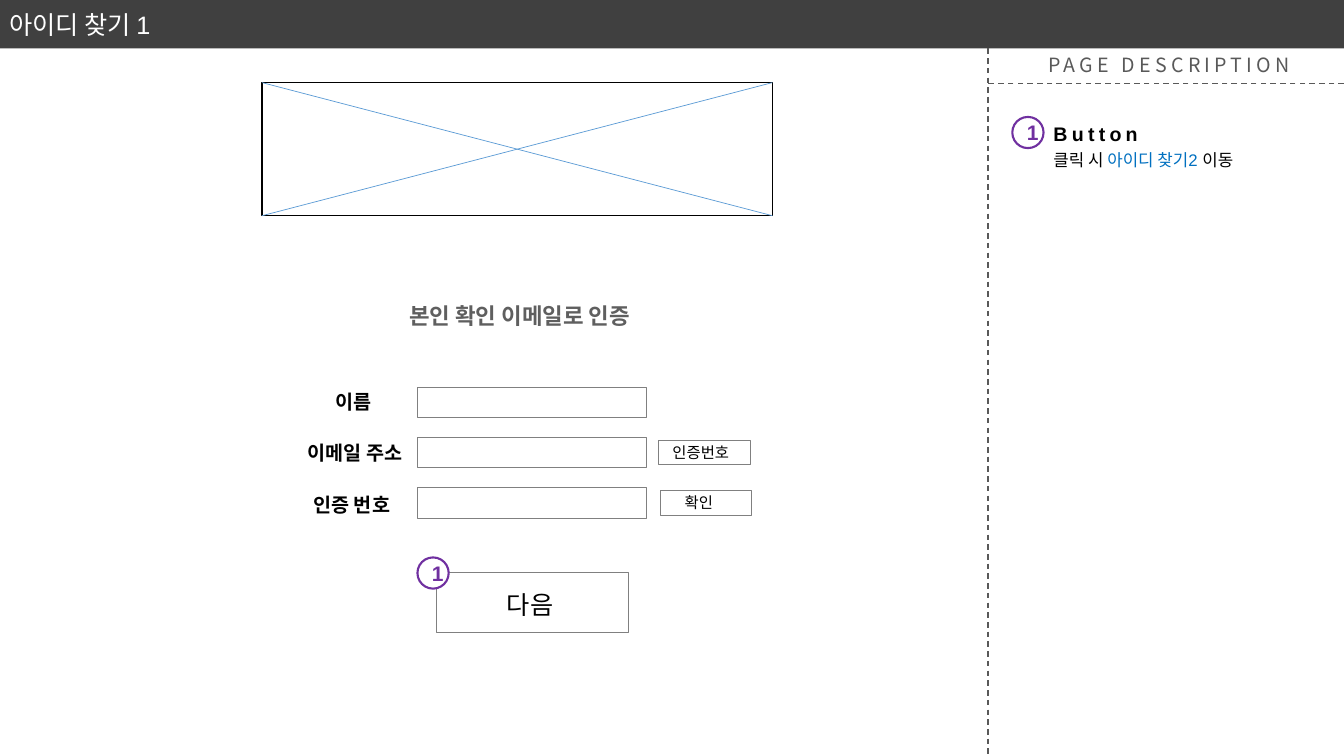
from dataclasses import dataclass

import lxml.etree
import pptx
import pptx.dml.color
import pptx.enum.dml
import pptx.enum.shapes
import pptx.enum.text
import pptx.oxml.ns
import pptx.util

Inches = pptx.util.Inches
Shapes = pptx.enum.shapes.MSO_SHAPE
Anchor = pptx.enum.text.MSO_ANCHOR
Align = pptx.enum.text.PP_ALIGN
qn = pptx.oxml.ns.qn

HANGUL = "Noto Sans CJK KR"
BLACK, GREY, DARK_GREY, PURPLE = "000000", "808080", "595959", "7030A0"


@dataclass
class Style:
    size: float
    font: str = HANGUL
    color: str = BLACK
    bold: bool = False
    spacing: int = 0


@dataclass
class Box:
    left: float
    top: float
    width: float
    height: float
    color: str = GREY
    weight: float = 0.5


@dataclass
class Label:
    text: str
    left: float
    top: float
    width: float
    height: float
    style: Style
    indent: float = 0.1


@dataclass
class Line:
    start: tuple[float, float]
    end: tuple[float, float]
    color: str
    weight: float
    dashed: bool = False


FIELD_LABEL = Style(14, bold=True)
BUTTON_LABEL = Style(11)
NOTE = Style(12, "Arial")
LINK = Style(12, "Arial", "0070C0")

IMAGE_AREA = Box(2.6, 0.82, 5.06, 1.32, BLACK, 1)
FIELDS = [Box(4.14, 3.84 + 0.5 * row, 2.27, 0.3) for row in range(3)]
BUTTONS = [Box(6.53, 4.37, 0.91, 0.24), Box(6.55, 4.86, 0.9, 0.25), Box(4.33, 5.68, 1.9, 0.59)]
LINES = [
    Line((9.8, 0.48), (9.8, 7.5), DARK_GREY, 1, True),
    Line((13.33, 0.83), (9.8, 0.83), DARK_GREY, 1, True),
    Line((2.6, 0.82), (7.66, 2.14), "5B9BD5", 0.5),
    Line((2.6, 2.14), (7.66, 0.82), "5B9BD5", 0.5),
]
LABELS = [
    Label("PAGE DESCRIPTION", 10.3, 0.48, 2.73, 0.34, Style(14, color=DARK_GREY, spacing=3)),
    Label("본인 확인 이메일로 인증", 3.98, 2.95, 3.54, 0.37, Style(16, "Karla", "5F5F5F", True), 0.08),
    Label("이름", 3.23, 3.82, 1.51, 0.34, FIELD_LABEL),
    Label("이메일 주소", 2.95, 4.33, 1.51, 0.34, FIELD_LABEL),
    Label("인증 번호", 3.01, 4.84, 1.51, 0.34, FIELD_LABEL),
    Label("인증번호", 6.57, 4.35, 0.82, 0.29, BUTTON_LABEL),
    Label("확인", 6.59, 4.84, 0.81, 0.29, BUTTON_LABEL, 0.2),
    Label("다음", 4.93, 5.8, 2.52, 0.4, Style(18)),
    Label("Button", 10.35, 1.16, 1.09, 0.34, Style(14, "Arial", bold=True, spacing=3)),
]
MARKERS = [(10.04, 1.16), (4.14, 5.53)]


def rgb(color: str) -> pptx.dml.color.RGBColor:
    return pptx.dml.color.RGBColor.from_string(color)


def add_run(paragraph, text: str, style: Style) -> None:
    run = paragraph.add_run()
    run.text = text
    run.font.size = pptx.util.Pt(style.size)
    run.font.name = style.font
    run.font.bold = style.bold
    run.font.color.rgb = rgb(style.color)
    properties = run.font._element
    lxml.etree.SubElement(properties, qn("a:ea")).set("typeface", HANGUL)
    if style.spacing:
        properties.set("spc", str(style.spacing * 100))


def add_box(slide, box: Box, kind=Shapes.RECTANGLE, fill: str | None = None):
    shape = slide.shapes.add_shape(
        kind, Inches(box.left), Inches(box.top), Inches(box.width), Inches(box.height))
    shape.shadow.inherit = False
    if fill:
        shape.fill.solid()
        shape.fill.fore_color.rgb = rgb(fill)
    else:
        shape.fill.background()
    shape.line.color.rgb = rgb(box.color)
    shape.line.width = pptx.util.Pt(box.weight)
    return shape


def add_text_box(slide, left: float, top: float, width: float, height: float, indent: float = 0.1):
    shape = slide.shapes.add_textbox(Inches(left), Inches(top), Inches(width), Inches(height))
    shape.text_frame.word_wrap = True
    shape.text_frame.margin_left = Inches(indent)
    return shape.text_frame.paragraphs[0]


def add_label(slide, label: Label) -> None:
    paragraph = add_text_box(
        slide, label.left, label.top, label.width, label.height, label.indent)
    add_run(paragraph, label.text, label.style)


def add_line(slide, line: Line) -> None:
    connector = slide.shapes.add_connector(
        pptx.enum.shapes.MSO_CONNECTOR.STRAIGHT, *map(Inches, line.start + line.end))
    connector.line.color.rgb = rgb(line.color)
    connector.line.width = pptx.util.Pt(line.weight)
    if line.dashed:
        connector.line.dash_style = pptx.enum.dml.MSO_LINE.DASH
    lxml.etree.SubElement(connector._element.spPr, qn("a:effectLst"))


def add_marker(slide, left: float, top: float) -> None:
    circle = add_box(slide, Box(left, top, 0.31, 0.31, PURPLE, 1.5), Shapes.OVAL, "FFFFFF")
    circle.text_frame.vertical_anchor = Anchor.MIDDLE
    paragraph = circle.text_frame.paragraphs[0]
    paragraph.alignment = Align.CENTER
    add_run(paragraph, "1", Style(15, "Arial", PURPLE, True))


def format_title(title) -> None:
    title.left, title.top = Inches(-0.01), Inches(0)
    title.width, title.height = Inches(13.34), Inches(0.48)
    title.fill.solid()
    title.fill.fore_color.rgb = rgb("404040")
    title.text_frame.auto_size = pptx.enum.text.MSO_AUTO_SIZE.NONE
    title.text_frame.vertical_anchor = Anchor.MIDDLE
    paragraph = title.text_frame.paragraphs[0]
    paragraph.alignment = Align.LEFT
    add_run(paragraph, "아이디 찾기 1", Style(18, "Arial", "FFFFFF"))


def main() -> None:
    presentation = pptx.Presentation()
    presentation.slide_width, presentation.slide_height = Inches(13.33), Inches(7.5)
    slide = presentation.slides.add_slide(presentation.slide_layouts[5])
    format_title(slide.shapes.title)
    for box in [IMAGE_AREA, *FIELDS, *BUTTONS]:
        add_box(slide, box)
    for line in LINES:
        add_line(slide, line)
    for label in LABELS:
        add_label(slide, label)
    note = add_text_box(slide, 10.35, 1.44, 2.22, 0.3)
    for text, style in [("클릭 시 ", NOTE), ("아이디 찾기2 ", LINK), ("이동", NOTE)]:
        add_run(note, text, style)
    for left, top in MARKERS:
        add_marker(slide, left, top)
    presentation.save("out.pptx")


if __name__ == "__main__":
    main()
